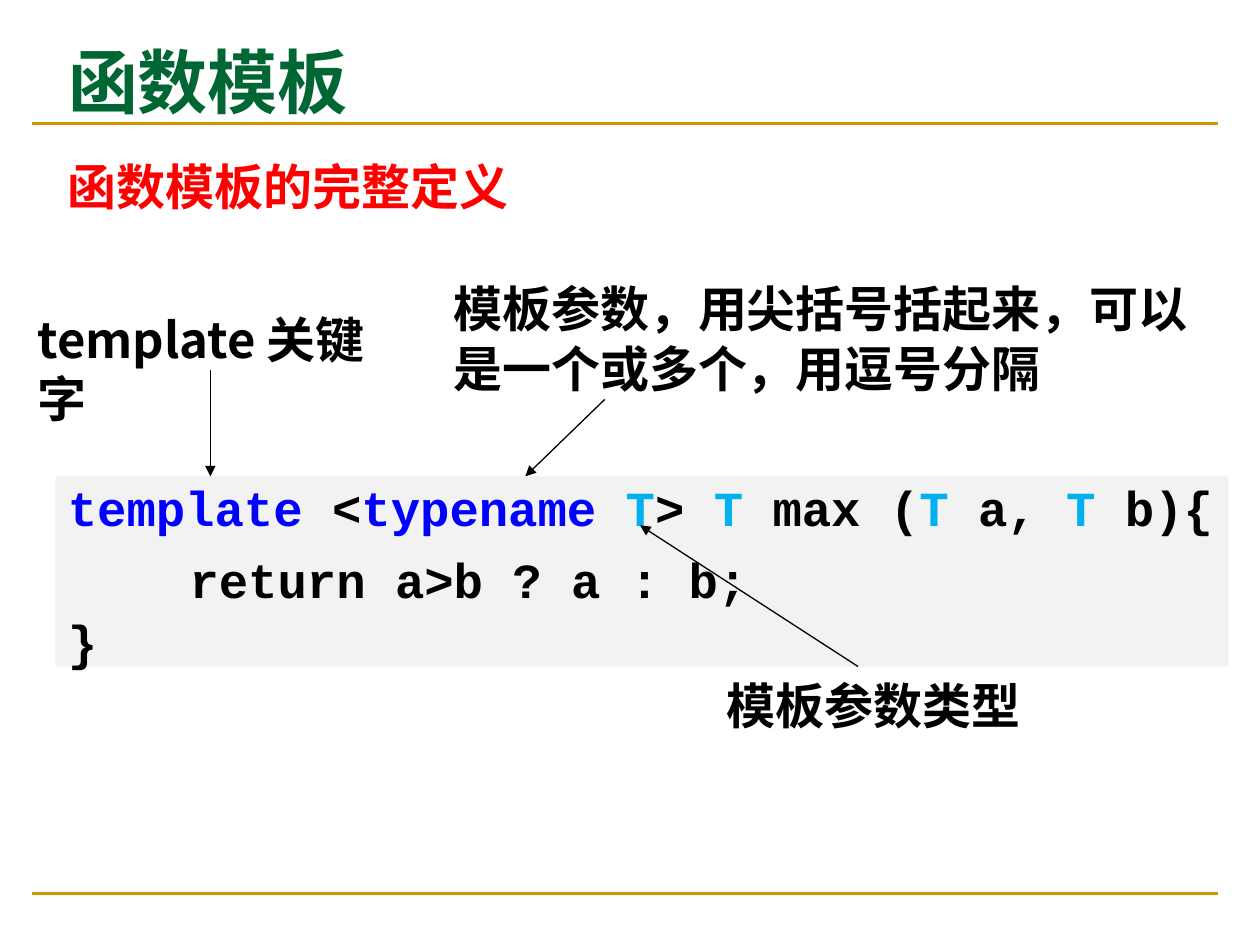
"""Build the slide on the full definition of a function template."""
import pptx
import pptx.dml.color
import pptx.enum.shapes
import pptx.enum.text
import pptx.oxml
import pptx.oxml.ns
import pptx.util

CJK, CODE = "Noto Sans CJK SC", "Courier New"
BLACK, BLUE, CYAN = "000000", "0000FF", "00B0F0"


def colour(value):
    return pptx.dml.color.RGBColor.from_string(value)


def write(para, text, size=28, font=CJK, tint=BLACK, spacing=None):
    span = para.add_run()
    span.text = text
    span.font.size = pptx.util.Pt(size)
    span.font.name = font
    span.font.bold = True
    span.font.color.rgb = colour(tint)
    east_asian = pptx.oxml.parse_xml(
        f'<a:ea {pptx.oxml.ns.nsdecls("a")} typeface="{CJK}"/>')
    span.font._element.find(pptx.oxml.ns.qn("a:latin")).addnext(east_asian)
    if spacing:
        para.line_spacing = spacing


deck = pptx.Presentation()
deck.slide_width = pptx.util.Inches(10)
deck.slide_height = pptx.util.Inches(7.5)
column = deck.slide_width / 100
row = deck.slide_height / 75
page = deck.slides.add_slide(deck.slide_layouts[5])

title = page.shapes.title
title.left, title.top = int(4.4 * column), int(2.1 * row)
title.width, title.height = int(63.7 * column), int(8.1 * row)
title.text_frame.vertical_anchor = pptx.enum.text.MSO_ANCHOR.MIDDLE
heading = title.text_frame.paragraphs[0]
heading.alignment = pptx.enum.text.PP_ALIGN.LEFT
write(heading, "函数模板", size=40, tint="006633", spacing=pptx.util.Pt(52))

panel = page.shapes.add_shape(
    pptx.enum.shapes.MSO_SHAPE.RECTANGLE,
    int(4.4 * column), int(37.8 * row), int(93.1 * column), int(15.1 * row))
panel.shadow.inherit = False
panel.fill.solid()
panel.fill.fore_color.rgb = colour("F2F2F2")
panel.line.fill.background()
frame = panel.text_frame
frame.word_wrap = True
frame.vertical_anchor = pptx.enum.text.MSO_ANCHOR.TOP
frame.margin_top = int(row)

code_lines = [
    (0.8, [("template", BLUE), (" <", BLACK), ("typename ", BLUE), ("T", CYAN),
           ("> ", BLACK), ("T", CYAN), (" max (", BLACK), ("T", CYAN),
           (" a, ", BLACK), ("T", CYAN), (" b){", BLACK)]),
    (1.0, [("\t  return a>b ? a : b;", BLACK)]),
    (0.8, [("}", BLACK)]),
]
for number, (spacing, spans) in enumerate(code_lines):
    para = frame.add_paragraph() if number else frame.paragraphs[0]
    para.alignment = pptx.enum.text.PP_ALIGN.LEFT
    if number:
        para.space_before = pptx.util.Pt(8)
    for text, tint in spans:
        write(para, text, font=CODE, tint=tint, spacing=spacing)

labels = [
    ("函数模板的完整定义", 4.4, 11.9, 43.9, 6.4, "Cabin", "FF0000"),
    ("template 关键字", 2, 24, 31.3, 10.4, CJK, BLACK),
    ("模板参数，用尖括号括起来，可以是一个或多个，用逗号分隔",
     35, 21.6, 60.8, 15.1, CJK, BLACK),
    ("模板参数类型", 56.7, 53.1, 30, 5.3, CJK, BLACK),
]
for text, left, top, width, height, font, tint in labels:
    box = page.shapes.add_textbox(int(left * column), int(top * row),
                                  int(width * column), int(height * row))
    box.text_frame.word_wrap = True
    write(box.text_frame.paragraphs[0], text, font=font, tint=tint,
          spacing=pptx.util.Pt(34))

GOLD = "CC9900"
lines = [
    (2.5, 9.8, 96.7, 9.8, GOLD, 1.5),
    (2.5, 70.9, 96.7, 70.9, GOLD, 1.5),
    (16.7, 29.4, 16.7, 37.8, BLACK, 0.75),
    (48, 31.7, 41.7, 37.8, BLACK, 0.75),
    (68.1, 52.9, 50.8, 41.7, BLACK, 0.75),
]
for start_x, start_y, end_x, end_y, tint, weight in lines:
    line = page.shapes.add_connector(
        pptx.enum.shapes.MSO_CONNECTOR.STRAIGHT,
        int(start_x * column), int(start_y * row),
        int(end_x * column), int(end_y * row))
    line.line.color.rgb = colour(tint)
    line.line.width = pptx.util.Pt(weight)
    if tint == BLACK:
        line.line._get_or_add_ln().append(pptx.oxml.parse_xml(
            f'<a:tailEnd {pptx.oxml.ns.nsdecls("a")} type="triangle"/>'))
    line._element.spPr.append(pptx.oxml.parse_xml(
        f'<a:effectLst {pptx.oxml.ns.nsdecls("a")}/>'))

deck.save("out.pptx")
